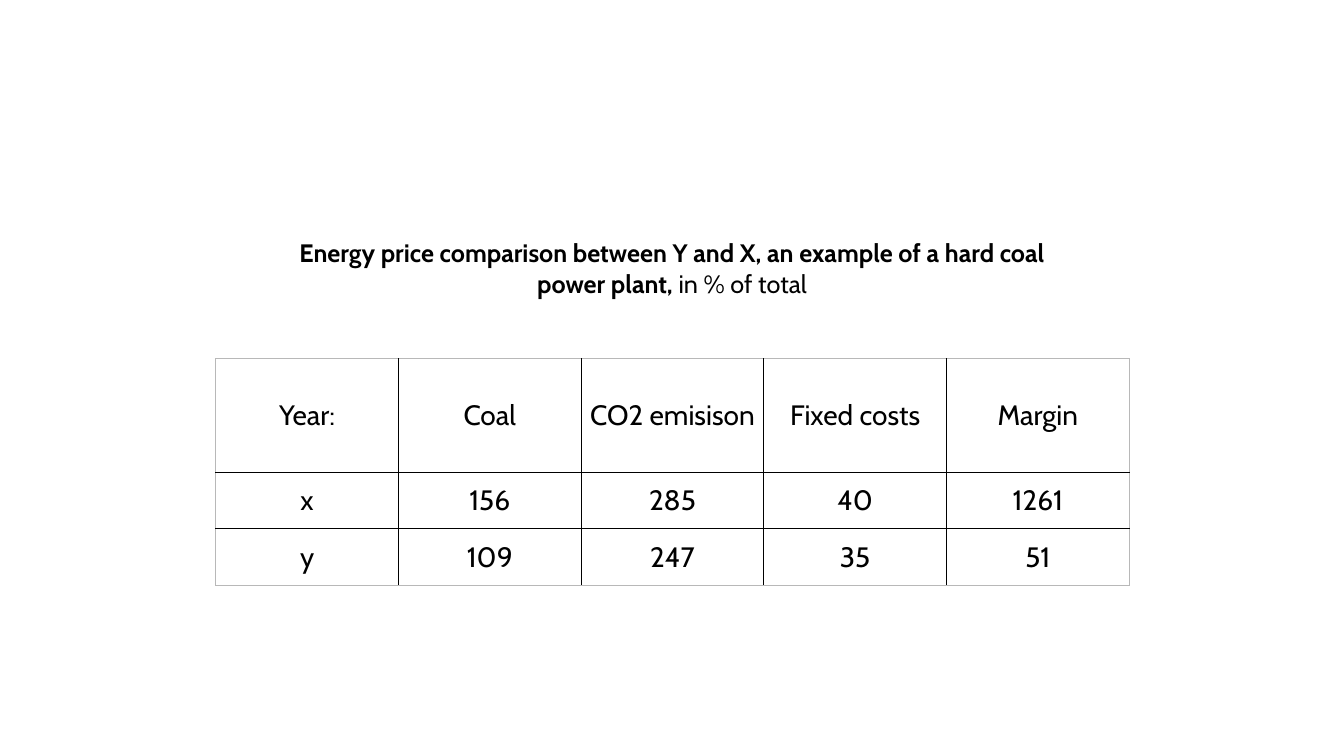
from lxml.etree import SubElement
from pptx import Presentation
from pptx.dml.color import RGBColor
from pptx.enum.text import MSO_ANCHOR, PP_ALIGN
from pptx.oxml.ns import qn
from pptx.util import Inches, Pt

HUES = {"text": "000000", "inner": "000000", "outer": "B8B8B8"}
ROWS = [
    ["Year:", "Coal", "CO2 emisison", "Fixed costs", "Margin"],
    ["x", "156", "285", "40", "1261"],
    ["y", "109", "247", "35", "51"],
]


def add_run(para, text, size, bold=False):
    para.alignment = PP_ALIGN.CENTER
    run = para.add_run()
    run.text = text
    run.font.name = "Cabin"
    run.font.size = Pt(size)
    run.font.bold = bold
    run.font.color.rgb = RGBColor.from_string(HUES["text"])


def add_edge(cell, side, hue, width):
    """Draw one cell border; call in the order L, R, T, B, before the fill."""
    line = SubElement(cell._tc.get_or_add_tcPr(), qn(f"a:ln{side}"), w=str(Pt(width)))
    fill = SubElement(line, qn("a:solidFill"))
    SubElement(fill, qn("a:srgbClr"), val=HUES[hue])


prs = Presentation()
prs.slide_width, prs.slide_height = Inches(13.33), Inches(7.5)
slide = prs.slides.add_slide(prs.slide_layouts[6])

# Price table
unit = 2.25 / 4
frame = slide.shapes.add_table(
    len(ROWS), len(ROWS[0]), Inches(2.14), Inches(3.56), Inches(9.06), Inches(2.25)
)
table = frame.table
table.first_row = table.horz_banding = False
for row, share in zip(table.rows, [2, 1, 1]):
    row.height = Inches(share * unit)

last_row, last_col = len(ROWS) - 1, len(ROWS[0]) - 1
for r, texts in enumerate(ROWS):
    for c, text in enumerate(texts):
        cell = table.cell(r, c)
        cell.margin_left = cell.margin_right = 0
        cell.margin_top = cell.margin_bottom = 0
        cell.vertical_anchor = MSO_ANCHOR.MIDDLE
        add_run(cell.text_frame.paragraphs[0], text, 20)
        edges = [("L", c == 0), ("R", c == last_col), ("T", r == 0), ("B", r == last_row)]
        for side, outer in edges:
            thick = (side, c) in [("R", 0), ("L", 1)] or (side == "B" and outer)
            add_edge(cell, side, "outer" if outer else "inner", 1.5 if thick else 1)
        cell.fill.background()

# Heading
box = slide.shapes.add_textbox(Inches(2.71), Inches(2.31), Inches(7.91), Inches(0.71))
box.text_frame.word_wrap = True
para = box.text_frame.paragraphs[0]
add_run(para, "Energy price comparison between Y and X, an example of a hard coal power plant, ", 18, True)
add_run(para, "in % of total", 18)

prs.save("out.pptx")
